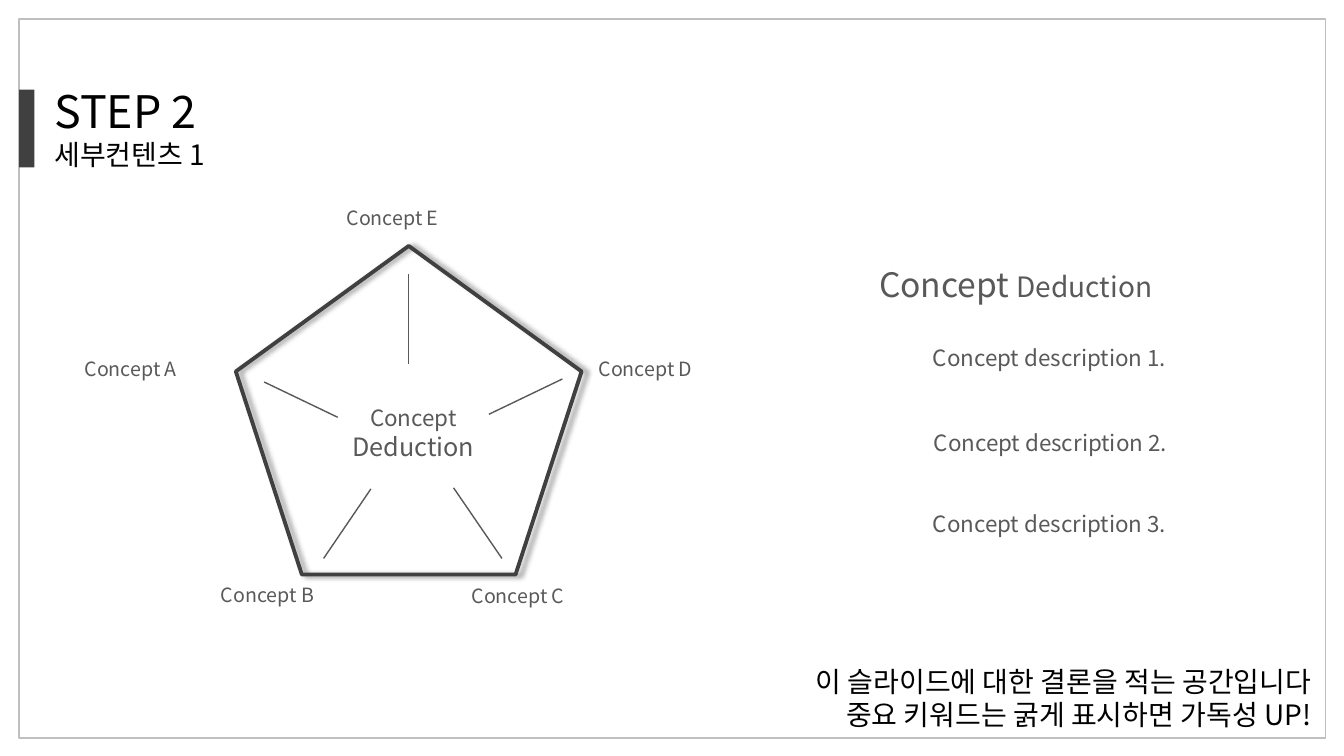
from lxml import etree
from pptx import Presentation
from pptx.dml.color import RGBColor
from pptx.enum.shapes import MSO_CONNECTOR, MSO_SHAPE
from pptx.enum.text import MSO_AUTO_SIZE, PP_ALIGN
from pptx.oxml.ns import qn
from pptx.util import Inches, Pt

RECTANGLE, PENTAGON = MSO_SHAPE.RECTANGLE, MSO_SHAPE.REGULAR_PENTAGON
STRAIGHT = MSO_CONNECTOR.STRAIGHT
LEFT, CENTER, RIGHT = PP_ALIGN.LEFT, PP_ALIGN.CENTER, PP_ALIGN.RIGHT
FIT_SHAPE = MSO_AUTO_SIZE.SHAPE_TO_FIT_TEXT
FONT = "Noto Sans CJK KR"
COLORS = {"black": "000000", "dark": "404040", "gray": "595959", "frame": "BFBFBF"}
WIDTH, HEIGHT = Inches(13.333), Inches(7.5)

LABELS = [
    ("Concept A", 5.55, 46.53, 12.83),
    ("Concept B", 15.68, 76.4, 12.08),
    ("Concept C", 34.35, 76.53, 12.08),
    ("Concept D", 43.8, 46.53, 12.08),
    ("Concept E", 25.05, 26.53, 12.08),
]
SPOKES = [
    (30.38, 36.27, 30.38, 48.13),
    (27.6, 64.67, 24.08, 73.87),
    (37.35, 73.87, 33.75, 64.53),
    (25.13, 55.2, 19.65, 50.53),
    (41.85, 50.13, 36.38, 54.8),
]
DESCRIPTIONS = [(62.03, 44.8), (62.1, 56.13), (62.03, 66.8)]


def rgb(color):
    """Return the named colour."""
    return RGBColor.from_string(COLORS[color])


def share(x, y, *more):
    """Turn alternating percentages of slide width and height into lengths."""
    sides = (WIDTH, HEIGHT)
    return [int(sides[i % 2] * value / 100) for i, value in enumerate((x, y, *more))]


def add_color(parent, color, opacity):
    """Append a colour with an opacity in percent to an XML element."""
    tone = etree.SubElement(parent, qn("a:srgbClr"), val=COLORS[color])
    etree.SubElement(tone, qn("a:alpha"), val=str(opacity * 1000))


def format_run(run, size, color, opacity):
    """Set the font, size, colour and thin outline of a run."""
    run.font.size = Pt(size)
    run.font.name = FONT
    run.font.color.rgb = rgb(color)
    properties = run.font._element
    outline = etree.Element(qn("a:ln"), w=str(Pt(0.75)))
    add_color(etree.SubElement(outline, qn("a:solidFill")), color, opacity)
    properties.insert(0, outline)
    east_asian = etree.Element(qn("a:ea"), typeface=FONT)
    properties.find(qn("a:latin")).addnext(east_asian)


def add_text(slide, box, lines, color="gray", opacity=30, align=LEFT):
    """Add a text box whose lines are lists of (text, size) runs."""
    frame = slide.shapes.add_textbox(*share(*box)).text_frame
    frame.word_wrap = True
    frame.auto_size = FIT_SHAPE
    for index, pieces in enumerate(lines):
        paragraph = frame.add_paragraph() if index else frame.paragraphs[0]
        paragraph.alignment = align
        for text, size in pieces:
            run = paragraph.add_run()
            run.text = text
            format_run(run, size, color, opacity)


def add_figure(slide, kind, box, fill=None, line=None, weight=1):
    """Add a preset shape with an optional fill and line."""
    figure = slide.shapes.add_shape(kind, *share(*box))
    figure.shadow.inherit = False
    if fill:
        figure.fill.solid()
        figure.fill.fore_color.rgb = rgb(fill)
    else:
        figure.fill.background()
    if line:
        figure.line.color.rgb = rgb(line)
        figure.line.width = Pt(weight)
    else:
        figure.line.fill.background()
    return figure


def cast_shadow(figure):
    """Give a figure a soft shadow to its right."""
    effects = figure._element.spPr.find(qn("a:effectLst"))
    shadow = etree.SubElement(effects, qn("a:outerShdw"), blurRad=str(Pt(4)),
                              dist=str(Pt(3)), dir="0", algn="l", rotWithShape="0")
    add_color(shadow, "black", 40)


def add_spoke(slide, ends):
    """Add a thin line between the centre and a corner."""
    spoke = slide.shapes.add_connector(STRAIGHT, *share(*ends))
    spoke.line.color.rgb = rgb("gray")
    spoke.line.width = Pt(1)
    etree.SubElement(spoke._element.spPr, qn("a:effectLst"))


def main():
    """Build the slide and save it."""
    deck = Presentation()
    deck.slide_width, deck.slide_height = WIDTH, HEIGHT
    slide = deck.slides.add_slide(deck.slide_layouts[6])

    add_figure(slide, RECTANGLE, (1.43, 2.53, 97.2, 95.07), line="frame")
    add_figure(slide, RECTANGLE, (1.43, 11.87, 1.13, 10.27), fill="dark")
    add_text(slide, (3.3, 10.4, 39.83, 13.07),
             [[("STEP 2", 32)], [("세부컨텐츠 1", 20)]], color="black", opacity=50)
    add_text(slide, (58.5, 87.2, 39.83, 10.27),
             [[("이 슬라이드에 대한 결론을 적는 공간입니다", 20)],
              [("중요 키워드는 굵게 표시하면 가독성 UP!", 20)]],
             color="black", opacity=50, align=RIGHT)

    pentagon = add_figure(slide, PENTAGON, (17.55, 32.53, 25.73, 43.47),
                          line="dark", weight=2.75)
    cast_shadow(pentagon)
    for concept, left, top, width in LABELS:
        add_text(slide, (left, top, width, 4.53), [[(concept, 14)]])
    for ends in SPOKES:
        add_spoke(slide, ends)
    add_text(slide, (23.33, 52.8, 14.85, 8.93),
             [[("Concept", 16)], [("Deduction", 18)]], align=CENTER)

    add_text(slide, (58.58, 34.27, 33.98, 6.67),
             [[("Concept ", 24), ("Deduction", 20)]], align=CENTER)
    for number, (left, top) in enumerate(DESCRIPTIONS, 1):
        add_text(slide, (left, top, 32.33, 4.93),
                 [[(f"Concept description {number}.", 16), (" ", 9)]], align=CENTER)

    deck.save("out.pptx")


if __name__ == "__main__":
    main()
